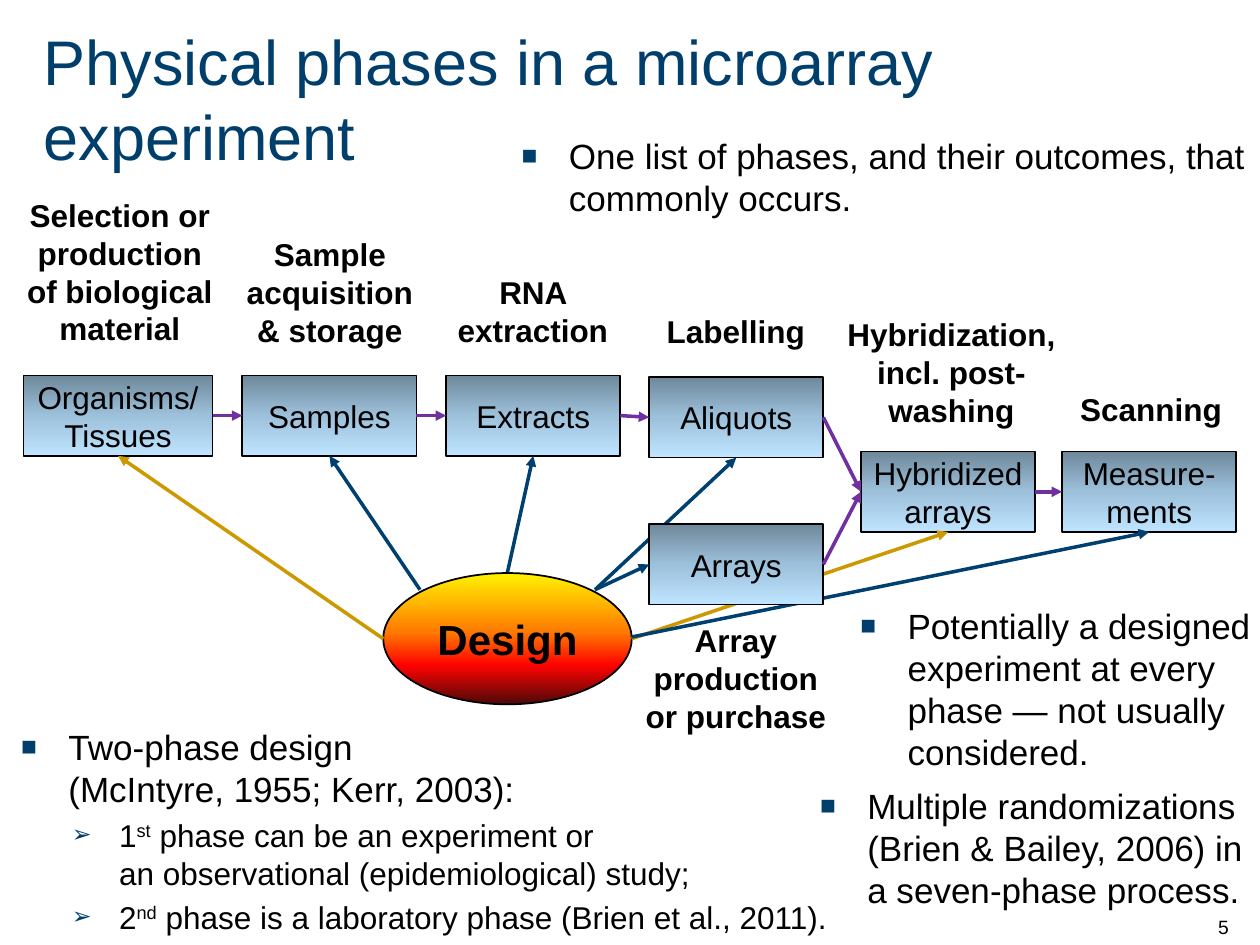
import pptx
import pptx.dml.color
import pptx.enum.shapes
import pptx.enum.text
import pptx.oxml.ns
import pptx.util
from lxml import etree

Pt = pptx.util.Pt
qn = pptx.oxml.ns.qn
Align = pptx.enum.text.PP_ALIGN
Anchor = pptx.enum.text.MSO_ANCHOR
Preset = pptx.enum.shapes.MSO_SHAPE

NAVY, BLUE, GOLD, PURPLE, BLACK = "003E6C", "004070", "CC9900", "7030A0", "000000"
STEEL = [(0, "6E889A"), (50, "9DC1DB"), (100, "BFE4FF")]
FIRE = [(0, "FFF200"), (45, "FF7A00"), (70, "FF0300"), (100, "4D0808")]
TOP, LEFT, BOTTOM, RIGHT = range(4)
BOX_WIDTH, BOX_HEIGHT = 99.5, 46


def color(value):
    return pptx.dml.color.RGBColor.from_string(value)


class Diagram:
    """Draws the elements of the phase diagram on one slide in a common style."""

    font = "Arial"

    def __init__(self, slide):
        self.slide = slide

    def style(self, paragraph, size, bold=False, ink=BLACK, align=Align.LEFT):
        paragraph.alignment = align
        paragraph.font.name = self.font
        paragraph.font.size = Pt(size)
        paragraph.font.bold = bold
        paragraph.font.color.rgb = color(ink)

    def frame(self, left, top, width, height, anchor=Anchor.TOP):
        box = self.slide.shapes.add_textbox(Pt(left), Pt(top), Pt(width), Pt(height))
        box.text_frame.word_wrap = True
        box.text_frame.vertical_anchor = anchor
        return box.text_frame

    def text(self, text, bounds, size, anchor=Anchor.TOP, **style):
        paragraph = self.frame(*bounds, anchor=anchor).paragraphs[0]
        paragraph.text = text
        self.style(paragraph, size, **style)

    def label(self, text, left, top, width, height):
        self.text(text, (left, top, width, height), 18, bold=True, align=Align.CENTER)

    def runs(self, paragraph, text):
        for index, part in enumerate(text.split("^")):
            for number, line in enumerate(part.split("\n")):
                if number:
                    paragraph.add_line_break()
                run = paragraph.add_run()
                run.text = line
                if index % 2:
                    run.font._element.set("baseline", "30000")

    def bullets(self, items, *bounds):
        frame = self.frame(*bounds)
        for index, (level, text) in enumerate(items):
            paragraph = frame.add_paragraph() if index else frame.paragraphs[0]
            paragraph.level = level
            size = 18 if level else 20
            properties = paragraph._p.get_or_add_pPr()
            properties.set("marL", str(Pt(56 if level else 27)))
            properties.set("indent", str(-Pt(27)))
            bullet_color = etree.SubElement(properties, qn("a:buClr"))
            etree.SubElement(bullet_color, qn("a:srgbClr"), val=NAVY)
            etree.SubElement(properties, qn("a:buSzPct"), val="75000")
            etree.SubElement(properties, qn("a:buFont"), typeface=self.font)
            etree.SubElement(properties, qn("a:buChar"), char="➢" if level else "■")
            if index:
                paragraph.space_before = Pt(size * 0.2)
            self.runs(paragraph, text)
            self.style(paragraph, size)

    def node(self, text, left, top, width=BOX_WIDTH, height=BOX_HEIGHT,
             preset=Preset.RECTANGLE, stops=STEEL, size=18, bold=False):
        shape = self.slide.shapes.add_shape(preset, Pt(left), Pt(top), Pt(width), Pt(height))
        shape.shadow.inherit = False
        shape.fill.gradient()
        shape.fill.gradient_angle = 270
        stop_list = shape._element.spPr.find(".//" + qn("a:gsLst"))
        for stop in list(stop_list):
            stop_list.remove(stop)
        for position, value in stops:
            stop = etree.SubElement(stop_list, qn("a:gs"), pos=str(position * 1000))
            etree.SubElement(stop, qn("a:srgbClr"), val=value)
        shape.line.color.rgb = color(BLACK)
        shape.line.width = Pt(1)
        frame = shape.text_frame
        frame.word_wrap = True
        frame.vertical_anchor = Anchor.MIDDLE
        frame.margin_left = frame.margin_right = Pt(3.6)
        frame.margin_top = frame.margin_bottom = 0
        frame.paragraphs[0].text = text
        self.style(frame.paragraphs[0], size, bold=bold, align=Align.CENTER)
        return shape

    def arrow(self, start, target, side, ink):
        connector = self.slide.shapes.add_connector(
            pptx.enum.shapes.MSO_CONNECTOR.STRAIGHT, Pt(start[0]), Pt(start[1]), 0, 0)
        connector.end_connect(target, side)
        connector.line.color.rgb = color(ink)
        connector.line.width = Pt(2)
        etree.SubElement(connector.line._get_or_add_ln(), qn("a:tailEnd"), type="triangle")
        etree.SubElement(connector._element.spPr, qn("a:effectLst"))
        return connector

    def flow(self, source, target):
        self.arrow((0, 0), target, LEFT, PURPLE).begin_connect(source, RIGHT)


def main():
    presentation = pptx.Presentation()
    presentation.slide_width, presentation.slide_height = Pt(720), Pt(540)
    diagram = Diagram(presentation.slides.add_slide(presentation.slide_layouts[6]))

    diagram.text("Physical phases in a microarray experiment", (18, 0, 702, 111.6), 36,
                 anchor=Anchor.MIDDLE, ink=NAVY)
    diagram.text("5", (689, 504, 30, 36), 11, anchor=Anchor.BOTTOM)
    diagram.bullets([(0, "One list of phases, and their outcomes, that commonly occurs.")],
                    291, 73.5, 430.5, 61)
    diagram.bullets([(0, "Potentially a designed experiment at every phase — not usually considered.")],
                    484.5, 342, 239, 98.5)
    diagram.bullets([
        (0, "Two-phase design\n(McIntyre, 1955; Kerr, 2003):"),
        (1, "1^st^ phase can be an experiment or\nan observational (epidemiological) study;"),
        (1, "2^nd^ phase is a laboratory phase (Brien et al., 2011)."),
    ], 5, 411, 525.5, 129)
    diagram.bullets([(0, "Multiple randomizations (Brien & Bailey, 2006) in a seven-phase process.")],
                    461.5, 445, 264, 92)

    organisms = diagram.node("Organisms/Tissues", 13.5, 214.5, width=108)
    samples = diagram.node("Samples", 138.5, 214.5)
    extracts = diagram.node("Extracts", 255, 214.5)
    aliquots = diagram.node("Aliquots", 371, 215.5)
    hybridized = diagram.node("Hybridized arrays", 492, 258)
    measurements = diagram.node("Measure-ments", 607, 258)
    diagram.node("Design", 219, 327.5, 142, 75, Preset.OVAL, FIRE, 24, True)

    for start, target, ink in [
        ((219, 365), organisms, GOLD),
        ((361, 365), hybridized, GOLD),
        ((340, 337), aliquots, BLUE),
        ((240, 337), samples, BLUE),
        ((290, 327), extracts, BLUE),
        ((361, 364), measurements, BLUE),
    ]:
        diagram.arrow(start, target, BOTTOM, ink)

    arrays = diagram.node("Arrays", 371, 299.5)
    diagram.arrow((340, 337), arrays, LEFT, BLUE)
    for source, target in [(organisms, samples), (samples, extracts), (extracts, aliquots),
                           (aliquots, hybridized), (arrays, hybridized),
                           (hybridized, measurements)]:
        diagram.flow(source, target)

    for label in [
        ("Selection or production of biological material", 5, 108.5, 127, 94.5),
        ("Sample acquisition & storage", 129, 131, 119, 72.5),
        ("RNA extraction", 245, 152.5, 119, 51),
        ("Labelling", 361, 174.5, 119, 29),
        ("Hybridization, incl. post-washing", 476, 176.5, 135.5, 72.5),
        ("Scanning", 602, 219.5, 111.5, 29),
        ("Array production or purchase", 361, 351.5, 119, 72.5),
    ]:
        diagram.label(*label)

    presentation.save("out.pptx")


if __name__ == "__main__":
    main()
